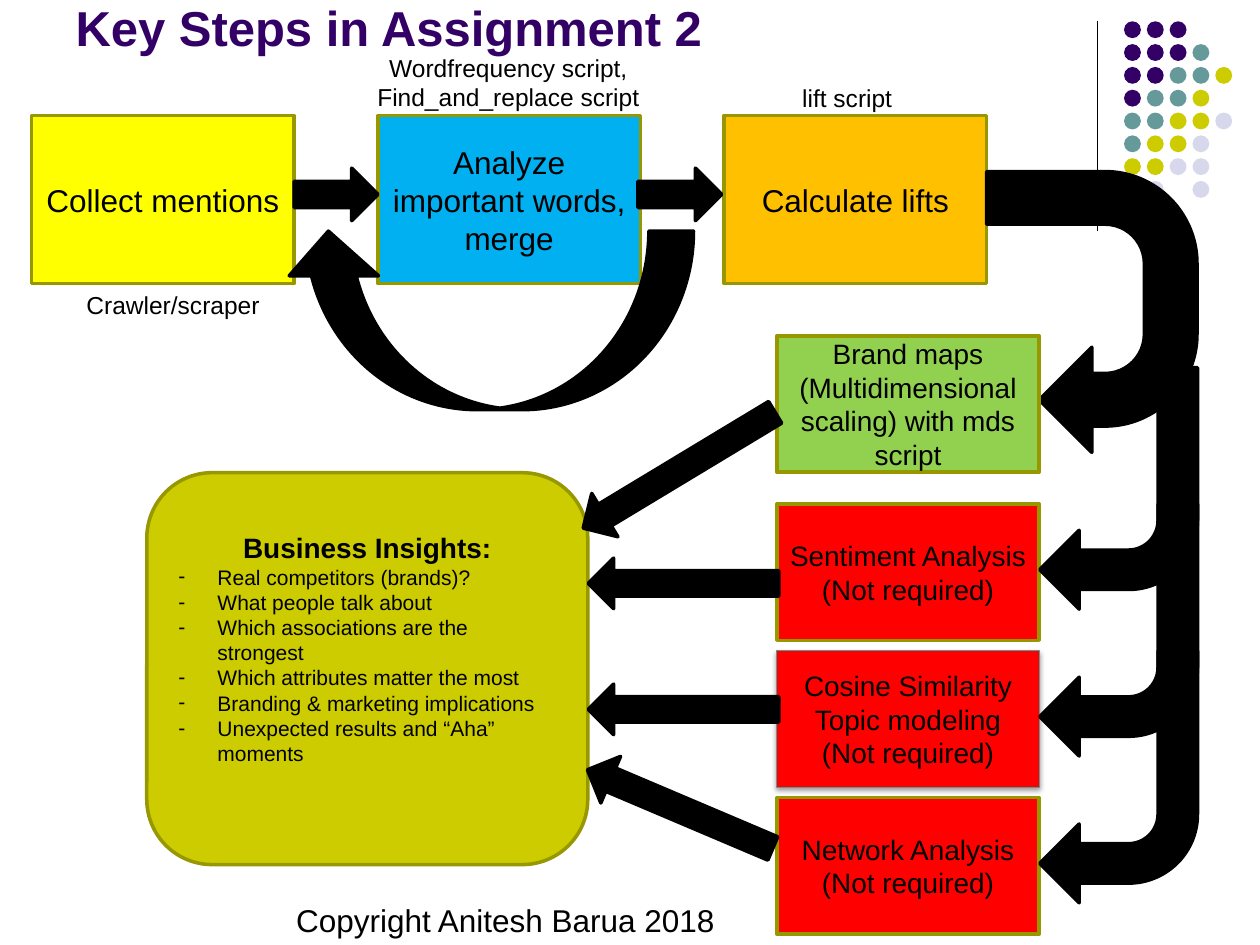
from dataclasses import dataclass

from lxml.etree import SubElement
from pptx import Presentation
from pptx.dml.color import RGBColor
from pptx.enum.shapes import MSO_CONNECTOR, MSO_SHAPE
from pptx.enum.text import MSO_ANCHOR, PP_ALIGN
from pptx.oxml.ns import qn
from pptx.util import Cm, Pt


@dataclass(frozen=True)
class Theme:
    """Colours, font and type sizes of the slide."""
    font: str = "Arial"
    ink: str = "000000"
    purple: str = "330066"
    teal: str = "669999"
    olive: str = "CCCC00"
    lavender: str = "D8D8EC"
    border: str = "979700"
    soft_border: str = "639797"
    yellow: str = "FFFF00"
    blue: str = "00B0F0"
    orange: str = "FFC000"
    green: str = "92D050"
    red: str = "FF0000"
    title: int = 28
    step: int = 18
    analysis: int = 16
    label: int = 14
    insight: int = 12


THEME = Theme()

TITLE = "Key Steps in Assignment 2"
STEPS = [
    ("Collect mentions", THEME.yellow),
    ("Analyze important words, merge", THEME.blue),
    ("Calculate lifts", THEME.orange),
]
# text lines, fill, top in cm
ANALYSES = [
    (["Brand maps", "(Multidimensional scaling) with mds script"], THEME.green, 6.77),
    (["Sentiment Analysis (Not required)"], THEME.red, 10.16),
    (["Cosine Similarity Topic modeling", "(Not required)"], THEME.red, 13.12),
    (["Network Analysis (Not required)"], THEME.red, 16.08),
]
RAISED_ANALYSIS = 2
INSIGHTS_HEADING = "Business Insights:"
INSIGHTS = [
    "Real competitors (brands)?",
    "What people talk about",
    "Which associations are the strongest",
    "Which attributes matter the most",
    "Branding & marketing implications",
    "Unexpected results and “Aha” moments",
]
# text lines, box in cm, type size, alignment
LABELS = [
    (["Crawler/scraper"], (1.48, 5.72, 4.02, 0.86), THEME.label, PP_ALIGN.CENTER),
    (["Wordfrequency script,", "Find_and_replace script"],
     (7.34, 0.94, 5.82, 2.24), THEME.label, PP_ALIGN.CENTER),
    (["lift script"], (15.44, 1.55, 3.28, 1.63), THEME.label, PP_ALIGN.CENTER),
    (["Copyright Anitesh Barua 2018"], (5.72, 18.03, 9.02, 1.02), THEME.step, PP_ALIGN.LEFT),
]
# box in cm, rotation
INSIGHT_ARROWS = [
    ((11.43, 8.97, 4.52, 1.02), 148.9),
    ((11.86, 11.25, 3.84, 1.02), 180),
    ((11.86, 13.79, 3.84, 1.02), 180),
    ((11.68, 15.8, 4.06, 1.02), 203),
]
DOT_ROWS = ["PPP", "PPPT", "PPTTY", "PTTY", "TTYYL", "TYYL", "YYLL", " L L"]
DOT_COLORS = {"P": THEME.purple, "T": THEME.teal, "Y": THEME.olive, "L": THEME.lavender}


def color(value):
    """Turn a hex value into a colour."""
    return RGBColor.from_string(value)


def add_box(shapes, kind, box, fill, line=None, width=2, rotation=0):
    """Add a flat preset shape; box is left, top, width, height in cm."""
    shape = shapes.add_shape(kind, *map(Cm, box))
    shape.shadow.inherit = False
    shape.rotation = rotation
    shape.fill.solid()
    shape.fill.fore_color.rgb = color(fill)
    if line:
        shape.line.color.rgb = color(line)
        shape.line.width = Pt(width)
    else:
        shape.line.fill.background()
    return shape


def add_arrow(shapes, kind, box, rotation=0):
    """Add a solid black block arrow."""
    return add_box(shapes, kind, box, THEME.ink, THEME.ink, rotation=rotation)


def write(frame, lines, size, bold=False, align=PP_ALIGN.CENTER, ink=THEME.ink,
          anchor=MSO_ANCHOR.MIDDLE, wrap=True):
    """Write lines as paragraphs of a text frame."""
    frame.word_wrap = wrap
    frame.vertical_anchor = anchor
    for index, line in enumerate(lines):
        paragraph = frame.paragraphs[0] if index == 0 else frame.add_paragraph()
        format_paragraph(paragraph, line, size, bold, align, ink)


def format_paragraph(paragraph, text, size, bold=False, align=PP_ALIGN.LEFT, ink=THEME.ink):
    """Fill one paragraph with formatted text."""
    paragraph.alignment = align
    run = paragraph.add_run()
    run.text = text
    run.font.name = THEME.font
    run.font.size = Pt(size)
    run.font.bold = bold
    run.font.color.rgb = color(ink)


def add_dash(paragraph):
    """Give a paragraph a hanging dash bullet."""
    properties = paragraph._p.get_or_add_pPr()
    indent = Cm(0.79)
    properties.set("marL", str(indent))
    properties.set("indent", str(-indent))
    SubElement(properties, qn("a:buFont"), typeface=THEME.font)
    SubElement(properties, qn("a:buChar"), char="-")


def add_soft_shadow(shape):
    """Drop a faint shadow below a shape."""
    effects = shape._element.spPr.find(qn("a:effectLst"))
    shadow = SubElement(effects, qn("a:outerShdw"), blurRad=str(Pt(3.1)),
                        dist=str(Pt(1.6)), dir="5400000", rotWithShape="0")
    tint = SubElement(shadow, qn("a:srgbClr"), val=THEME.ink)
    SubElement(tint, qn("a:alpha"), val="38000")


def draw_decoration(slide):
    """Draw the vertical rule and the dot pattern."""
    rule = slide.shapes.add_connector(
        MSO_CONNECTOR.STRAIGHT, Cm(22.12), Cm(0.43), Cm(22.12), Cm(4.65))
    rule.line.color.rgb = color(THEME.ink)
    rule.line.width = Pt(0.75)
    SubElement(rule._element.spPr, qn("a:effectLst"))
    dots = slide.shapes.add_group_shape().shapes
    for row, codes in enumerate(DOT_ROWS):
        for column, code in enumerate(codes):
            if code in DOT_COLORS:
                box = (22.66 + 0.46 * column, 0.43 + 0.46 * row, 0.34, 0.34)
                add_box(dots, MSO_SHAPE.OVAL, box, DOT_COLORS[code])


def draw_title(slide):
    """Place and format the title."""
    title = slide.shapes.title
    title.left, title.top, title.width, title.height = map(Cm, (1.27, -2.34, 20.96, 3.61))
    write(title.text_frame, [TITLE], THEME.title, bold=True, align=PP_ALIGN.LEFT,
          ink=THEME.purple, anchor=MSO_ANCHOR.BOTTOM)


def draw_steps(shapes):
    """Draw the row of steps, the arrows between them and the labels."""
    for index, (text, fill) in enumerate(STEPS):
        box = (0.64 + 6.98 * index, 2.33, 5.29, 3.39)
        step = add_box(shapes, MSO_SHAPE.RECTANGLE, box, fill, THEME.border)
        write(step.text_frame, [text], THEME.step)
    for index in range(len(STEPS) - 1):
        add_arrow(shapes, MSO_SHAPE.RIGHT_ARROW, (5.93 + 6.93 * index, 3.39, 1.69, 1.06))
    for lines, box, size, align in LABELS:
        label = shapes.add_textbox(*map(Cm, box))
        write(label.text_frame, lines, size, align=align, anchor=MSO_ANCHOR.TOP, wrap=False)


def draw_analyses(shapes):
    """Draw the analyses and the bent arrows leading to them."""
    add_arrow(shapes, MSO_SHAPE.U_TURN_ARROW, (19.18, 4.17, 5.66, 4.24), 90)
    for index, (lines, fill, top) in enumerate(ANALYSES):
        raised = index == RAISED_ANALYSIS
        line, width = (THEME.soft_border, 0.75) if raised else (THEME.border, 2)
        analysis = add_box(shapes, MSO_SHAPE.RECTANGLE, (15.66, top, 5.29, 2.75),
                           fill, line, width)
        write(analysis.text_frame, lines, THEME.analysis)
        if raised:
            add_soft_shadow(analysis)
    for (_, _, top), height in zip(ANALYSES[1:], (4.87, 5.08, 5.08)):
        add_arrow(shapes, MSO_SHAPE.BENT_ARROW, (20.96, top + 2.12 - height, 3.18, height), 180)


def draw_insights(shapes):
    """Draw the insights panel and the arrows leading to it."""
    panel = add_box(shapes, MSO_SHAPE.ROUNDED_RECTANGLE, (2.96, 9.53, 8.89, 7.9),
                    THEME.olive, THEME.border)
    frame = panel.text_frame
    frame.margin_top = Cm(0.78)
    write(frame, [INSIGHTS_HEADING], THEME.analysis, bold=True, anchor=MSO_ANCHOR.TOP)
    for insight in INSIGHTS:
        paragraph = frame.add_paragraph()
        format_paragraph(paragraph, insight, THEME.insight)
        add_dash(paragraph)
    for box, rotation in INSIGHT_ARROWS:
        add_arrow(shapes, MSO_SHAPE.RIGHT_ARROW, box, rotation)


presentation = Presentation()
presentation.slide_width, presentation.slide_height = Cm(25.4), Cm(19.05)
slide = presentation.slides.add_slide(presentation.slide_layouts[5])
draw_decoration(slide)
draw_title(slide)
draw_steps(slide.shapes)
draw_analyses(slide.shapes)
draw_insights(slide.shapes)
add_arrow(slide.shapes, MSO_SHAPE.CURVED_LEFT_ARROW, (8.05, 2.33, 3.6, 8.26), 90)
presentation.save("out.pptx")
